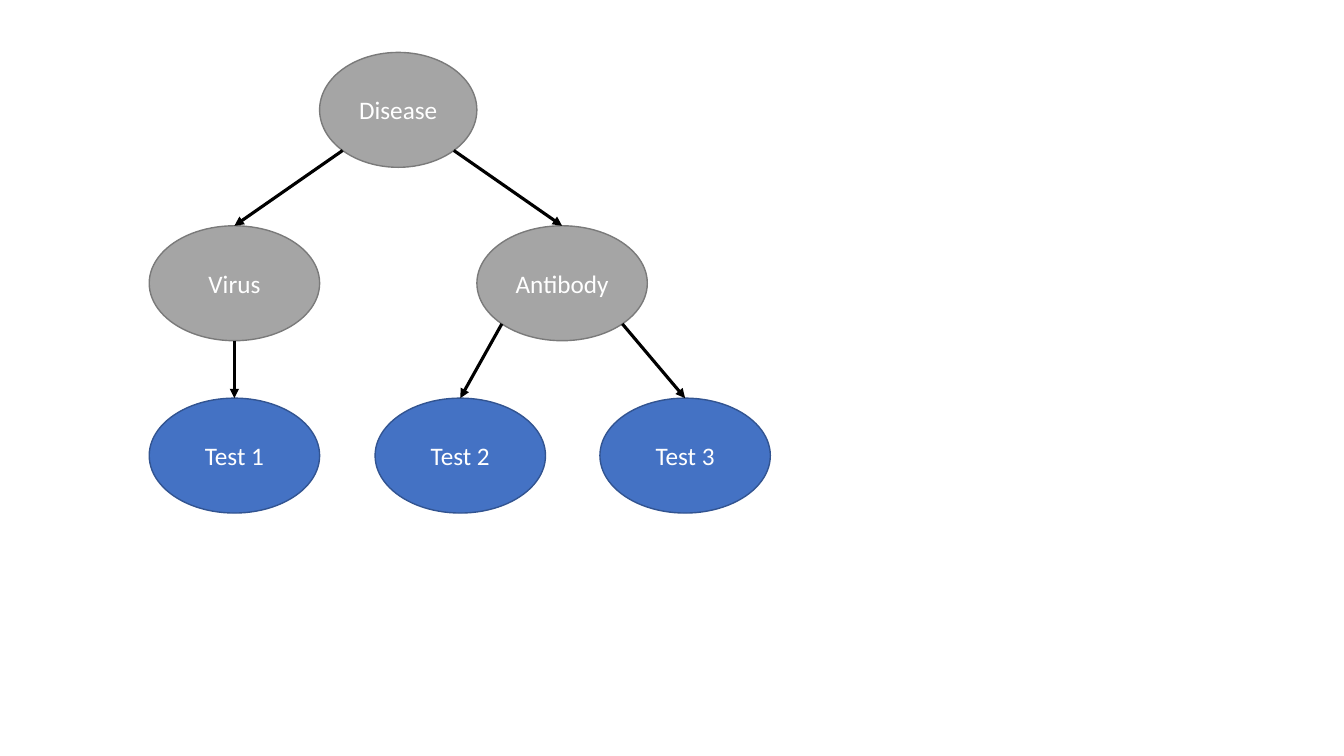
from math import sqrt

from lxml import etree
from pptx import Presentation
from pptx.dml.color import RGBColor
from pptx.enum.shapes import MSO_CONNECTOR, MSO_SHAPE
from pptx.enum.text import MSO_ANCHOR, PP_ALIGN
from pptx.oxml.ns import qn
from pptx.util import Pt

OVAL, LINE = MSO_SHAPE.OVAL, MSO_CONNECTOR.STRAIGHT
CENTER, MIDDLE = PP_ALIGN.CENTER, MSO_ANCHOR.MIDDLE
PX = 9144  # EMU per px, 100 px to the inch
FONT = "Calibri"
WHITE, BLACK = RGBColor(255, 255, 255), RGBColor(0, 0, 0)
GRAY, GRAY_EDGE = RGBColor(0xA5, 0xA5, 0xA5), RGBColor(0x7A, 0x7A, 0x7A)
BLUE, BLUE_EDGE = RGBColor(0x44, 0x72, 0xC4), RGBColor(0x32, 0x54, 0x91)
CAUSE, TEST = (GRAY, GRAY_EDGE), (BLUE, BLUE_EDGE)

# name, left, row, width, colours
NODES = [
    ("Disease", 317, 0, 156, CAUSE),
    ("Virus", 148, 1, 169, CAUSE),
    ("Antibody", 473, 1, 169, CAUSE),
    ("Test 1", 148, 2, 169, TEST),
    ("Test 2", 372, 2, 169, TEST),
    ("Test 3", 595, 2, 169, TEST),
]
TOPS, HEIGHT = (52, 224, 395), 114

# parent, child, side of the parent that the arrow leaves from
EDGES = [
    ("Disease", "Virus", "left"),
    ("Disease", "Antibody", "right"),
    ("Virus", "Test 1", "middle"),
    ("Antibody", "Test 2", "left"),
    ("Antibody", "Test 3", "right"),
]
# connection site of an ellipse, and its place from the centre in half axes
DIAG = 1 / sqrt(2)
SITES = {"left": (3, -DIAG, DIAG), "middle": (4, 0, 1), "right": (5, DIAG, DIAG)}
TOP_SITE = 0


def add_node(slide, name, left, row, width, colors):
    node = slide.shapes.add_shape(
        OVAL, left * PX, TOPS[row] * PX, width * PX, HEIGHT * PX)
    fill, edge = colors
    node.shadow.inherit = False
    node.fill.solid()
    node.fill.fore_color.rgb = fill
    node.line.color.rgb = edge
    node.line.width = Pt(1)
    frame = node.text_frame
    frame.text = name
    frame.vertical_anchor = MIDDLE
    frame.paragraphs[0].alignment = CENTER
    font = frame.paragraphs[0].runs[0].font
    font.name, font.size, font.color.rgb = FONT, Pt(18), WHITE
    return node


def add_arrow(slide, parent, child, side):
    site, dx, dy = SITES[side]
    half_w, half_h = parent.width / 2, parent.height / 2
    arrow = slide.shapes.add_connector(
        LINE,
        round(parent.left + half_w * (1 + dx)),
        round(parent.top + half_h * (1 + dy)),
        child.left + child.width // 2,
        child.top)
    arrow.line.color.rgb = BLACK
    arrow.line.width = Pt(2.25)
    etree.SubElement(arrow.line._get_or_add_ln(), qn("a:tailEnd"), type="triangle")
    props = arrow._element.spPr
    etree.SubElement(props, qn("a:effectLst"))
    glue = arrow._element.find(".//" + qn("p:cNvCxnSpPr"))
    for tag, node, idx in (("a:stCxn", parent, site), ("a:endCxn", child, TOP_SITE)):
        etree.SubElement(glue, qn(tag), id=str(node.shape_id), idx=str(idx))


def main():
    deck = Presentation()
    deck.slide_width, deck.slide_height = 1333 * PX, 750 * PX
    slide = deck.slides.add_slide(deck.slide_layouts[6])
    nodes = {node[0]: add_node(slide, *node) for node in NODES}
    for parent, child, side in EDGES:
        add_arrow(slide, nodes[parent], nodes[child], side)
    deck.save("out.pptx")


if __name__ == "__main__":
    main()
